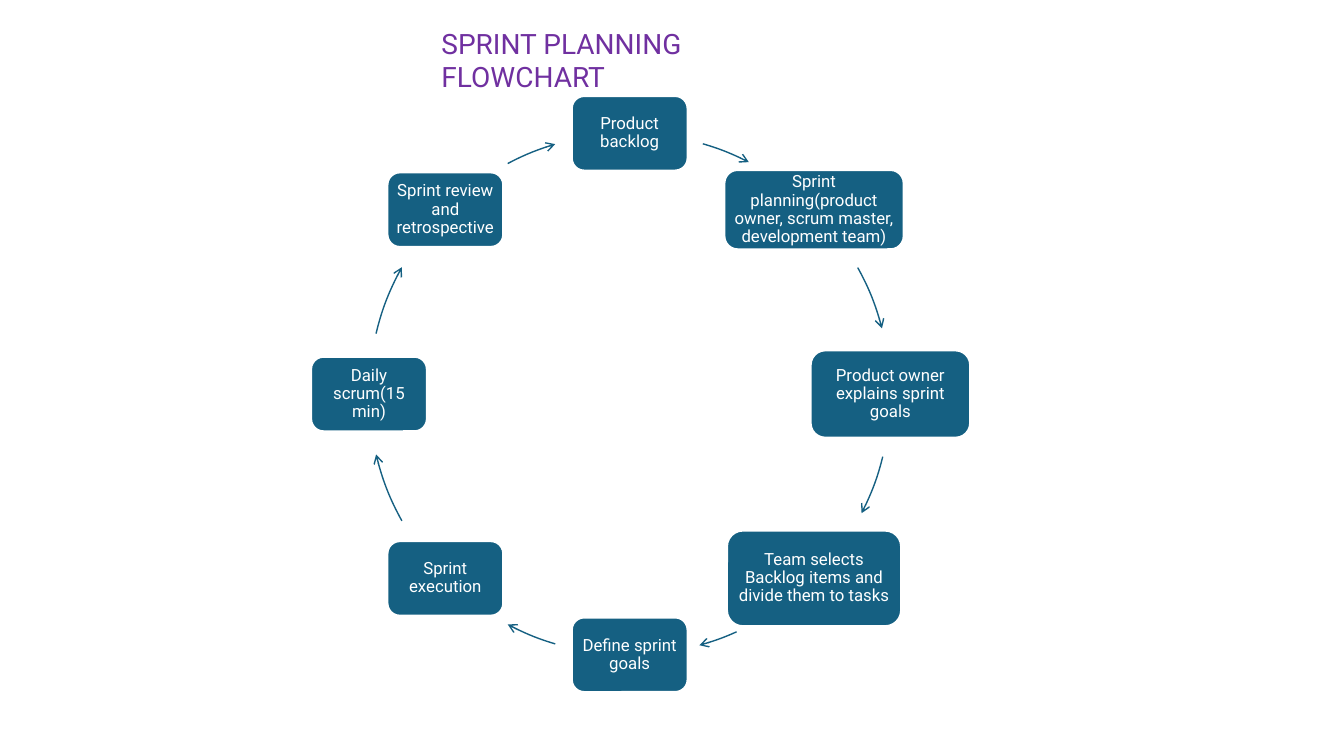
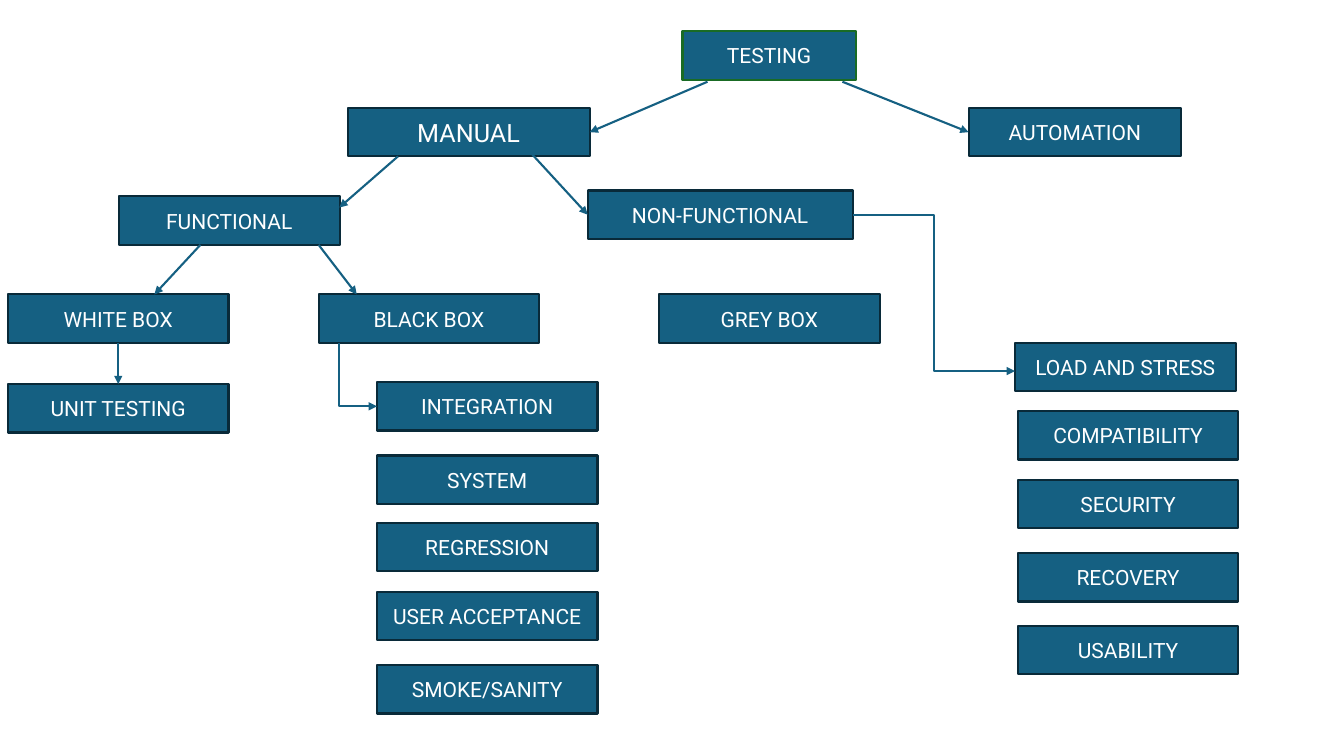
from lxml.etree import SubElement
from pptx import Presentation
from pptx.dml.color import RGBColor
from pptx.enum.shapes import MSO_CONNECTOR, MSO_SHAPE
from pptx.enum.text import MSO_ANCHOR, MSO_AUTO_SIZE, PP_ALIGN
from pptx.oxml.ns import qn
from pptx.util import Cm, Pt
from math import cos, radians, sin

TEAL, NAVY, GREEN = "156082", "092A39", "196B24"
PURPLE, WHITE = "7030A0", "FFFFFF"
TITLE_ONLY, BLANK = 5, 6
TOP, LEFT, BOTTOM, RIGHT = range(4)


def color(value):
    return RGBColor.from_string(value)


def write(shape, text, size=15, fill=WHITE, align=PP_ALIGN.CENTER,
          anchor=MSO_ANCHOR.MIDDLE, spacing=1.0, margin=None):
    frame = shape.text_frame
    frame.word_wrap = True
    frame.auto_size = MSO_AUTO_SIZE.NONE
    frame.vertical_anchor = anchor
    if margin is not None:
        frame.margin_left = frame.margin_right = Cm(margin)
        frame.margin_top = frame.margin_bottom = Cm(margin)
    paragraph = frame.paragraphs[0]
    paragraph.alignment = align
    paragraph.line_spacing = spacing
    run = paragraph.add_run()
    run.text = text
    run.font.name = "Roboto"
    run.font.size = Pt(size)
    run.font.color.rgb = color(fill)


class Deck:
    """Holds the shared style and the slide being drawn."""

    def __init__(self):
        self.presentation = Presentation()
        self.presentation.slide_width = Cm(33.87)
        self.presentation.slide_height = Cm(19.05)
        self.slide = None

    def add_slide(self, layout):
        layouts = self.presentation.slide_layouts
        self.slide = self.presentation.slides.add_slide(layouts[layout])

    def title(self, text, left, top, width, height):
        shape = self.slide.shapes.title
        shape.left, shape.top = Cm(left), Cm(top)
        shape.width, shape.height = Cm(width), Cm(height)
        write(shape, text, size=20, fill=PURPLE, align=PP_ALIGN.LEFT,
              anchor=MSO_ANCHOR.TOP)

    def box(self, text, left, top, width=5.56, height=1.22, outline=NAVY,
            kind=MSO_SHAPE.RECTANGLE, **text_format):
        shape = self.slide.shapes.add_shape(
            kind, Cm(left), Cm(top), Cm(width), Cm(height))
        shape.shadow.inherit = False
        shape.fill.solid()
        shape.fill.fore_color.rgb = color(TEAL)
        self.stroke(shape, outline, 1.5)
        write(shape, text, **text_format)
        return shape

    def stroke(self, shape, outline, width, head=None):
        shape.line.color.rgb = color(outline)
        shape.line.width = Pt(width)
        if head:
            line = shape._element.spPr.get_or_add_ln()
            SubElement(line, qn("a:tailEnd"), type=head)

    def arc_arrow(self, center, radius, start, end):
        shape = self.slide.shapes.add_shape(
            MSO_SHAPE.ARC, Cm(center[0] - radius), Cm(center[1] - radius),
            Cm(2 * radius), Cm(2 * radius))
        shape.shadow.inherit = False
        shape.fill.background()
        shape.adjustments[0] = start * 0.6
        shape.adjustments[1] = end * 0.6
        self.stroke(shape, TEAL, 1, "arrow")

    def arrow(self, start=(0, 0), end=(0, 0), begin_join=None, end_join=None,
              kind=MSO_CONNECTOR.STRAIGHT):
        connector = self.slide.shapes.add_connector(
            kind, *(Cm(value) for value in (*start, *end)))
        if begin_join:
            connector.begin_connect(*begin_join)
        if end_join:
            connector.end_connect(*end_join)
        self.stroke(connector, TEAL, 1.5, "triangle")
        SubElement(connector._element.spPr, qn("a:effectLst"))
        return connector

    def down_then_right(self, start, end):
        middle_x, middle_y = (start[0] + end[0]) / 2, (start[1] + end[1]) / 2
        half_width, half_height = (end[1] - start[1]) / 2, (end[0] - start[0]) / 2
        connector = self.arrow((middle_x + half_width, middle_y - half_height),
                               (middle_x - half_width, middle_y + half_height),
                               kind=MSO_CONNECTOR.ELBOW)
        properties = connector._element.spPr
        properties.find(qn("a:xfrm")).set("rot", "16200000")
        properties.find(qn("a:prstGeom")).set("prst", "bentConnector2")


def sprint_cycle(deck):
    deck.add_slide(TITLE_ONLY)
    deck.title("SPRINT PLANNING FLOWCHART", 10.87, 0.53, 10.52, 1.9)
    center, radius = (15.87, 9.93), 6.57
    small = (2.92, 1.88)
    steps = [
        ("Product backlog", small, 286.3, 297.2),
        ("Sprint planning(product owner, scrum master, development team)",
         (4.52, 2.0), 331, 345.4),
        ("Product owner explains sprint goals", (4.02, 2.2), 13.9, 27.2),
        ("Team selects Backlog items and divide them to tasks",
         (4.39, 2.41), 65.8, 74.5),
        ("Define sprint goals", small, 106.6, 117.9),
        ("Sprint execution", small, 150.9, 166.6),
        ("Daily scrum(15 min)", small, 193.4, 209.1),
        ("Sprint review and retrospective", small, 242.1, 253.4),
    ]
    for index, (text, (width, height), start, end) in enumerate(steps):
        angle = radians(360 / len(steps) * index - 90)
        deck.box(text, center[0] + radius * cos(angle) - width / 2,
                 center[1] + radius * sin(angle) - height / 2, width, height,
                 outline=WHITE, kind=MSO_SHAPE.ROUNDED_RECTANGLE,
                 size=12, spacing=0.9, margin=0.1)
        deck.arc_arrow(center, radius, start, end)


def testing_tree(deck):
    deck.add_slide(BLANK)
    deck.box("TESTING", 17.2, 0.79, 4.37, outline=GREEN)
    manual = deck.box("MANUAL", 8.76, 2.72, 6.1, size=18)
    automation = deck.box("AUTOMATION", 24.41, 2.72, 5.36)
    deck.box("FUNCTIONAL", 3, 4.95)
    non_functional = deck.box("NON-FUNCTIONAL", 14.81, 4.8, 6.68)
    white_box = deck.box("WHITE BOX", 0.2, 7.42)
    deck.box("BLACK BOX", 8.03, 7.42)
    deck.box("GREY BOX", 16.61, 7.42)
    unit_testing = deck.box("UNIT TESTING", 0.2, 9.68)
    deck.box("LOAD AND STRESS", 25.58, 8.64)

    columns = {
        9.5: [("INTEGRATION", 9.63), ("SYSTEM", 11.48), ("REGRESSION", 13.18),
              ("USER ACCEPTANCE", 14.91), ("SMOKE/SANITY", 16.76)],
        25.65: [("COMPATIBILITY", 10.36), ("SECURITY", 12.09),
                ("RECOVERY", 13.94), ("USABILITY", 15.77)],
    }
    for left, tests in columns.items():
        for text, top in tests:
            deck.box(text, left, top)

    deck.arrow((17.83, 2.06), end_join=(manual, RIGHT))
    deck.arrow((21.23, 2.06), end_join=(automation, LEFT))
    deck.arrow((10.03, 3.94), (8.55, 5.23))
    deck.arrow((13.31, 3.78), end_join=(non_functional, LEFT))
    deck.arrow((5.05, 6.17), (3.89, 7.42))
    deck.arrow((8.03, 6.17), (8.99, 7.42))
    deck.arrow(begin_join=(white_box, BOTTOM), end_join=(unit_testing, TOP))
    deck.arrow((21.49, 5.41), (25.58, 9.35), kind=MSO_CONNECTOR.ELBOW)
    deck.down_then_right((8.55, 8.64), (9.5, 10.24))


def main():
    deck = Deck()
    sprint_cycle(deck)
    testing_tree(deck)
    deck.presentation.save("out.pptx")


if __name__ == "__main__":
    main()
